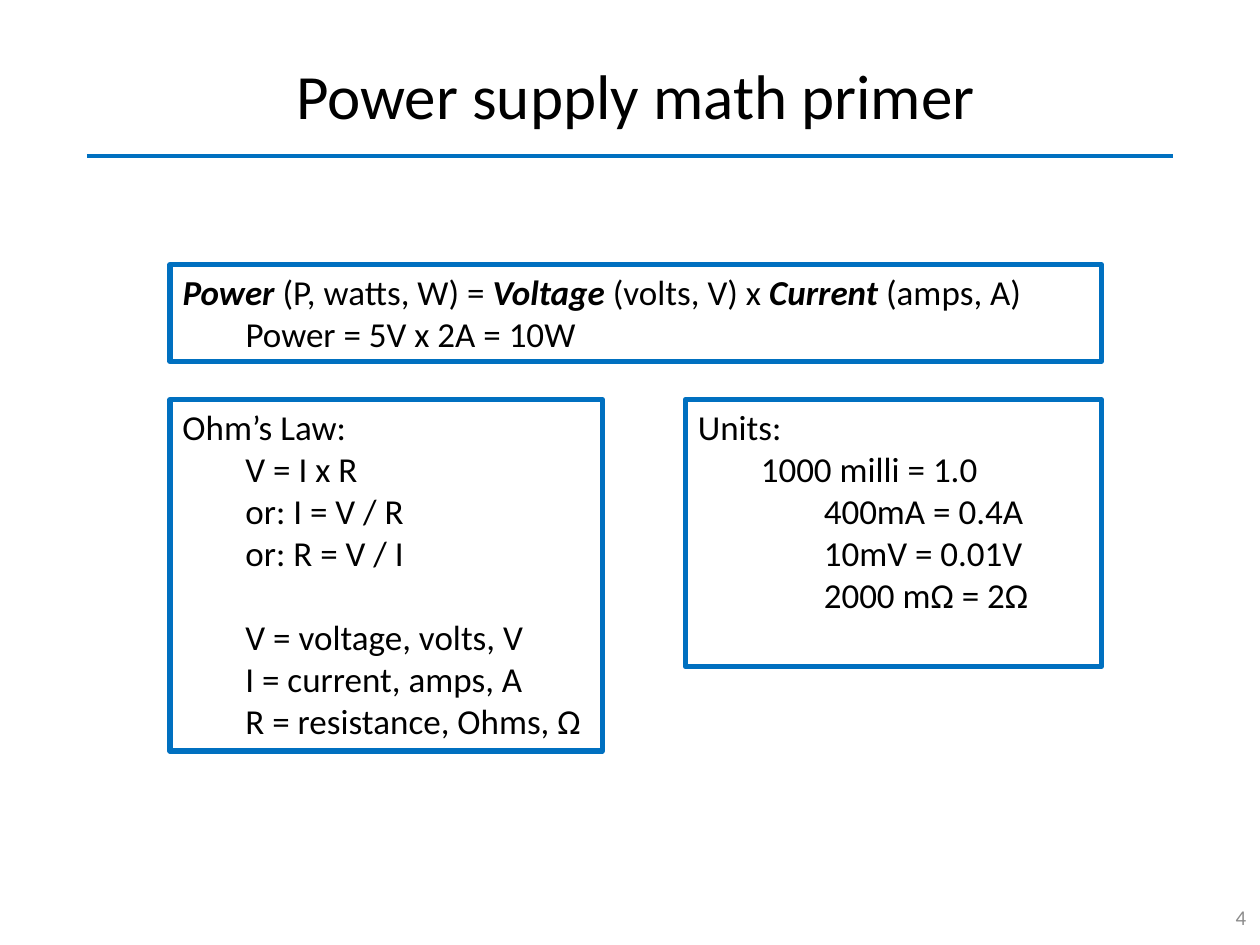
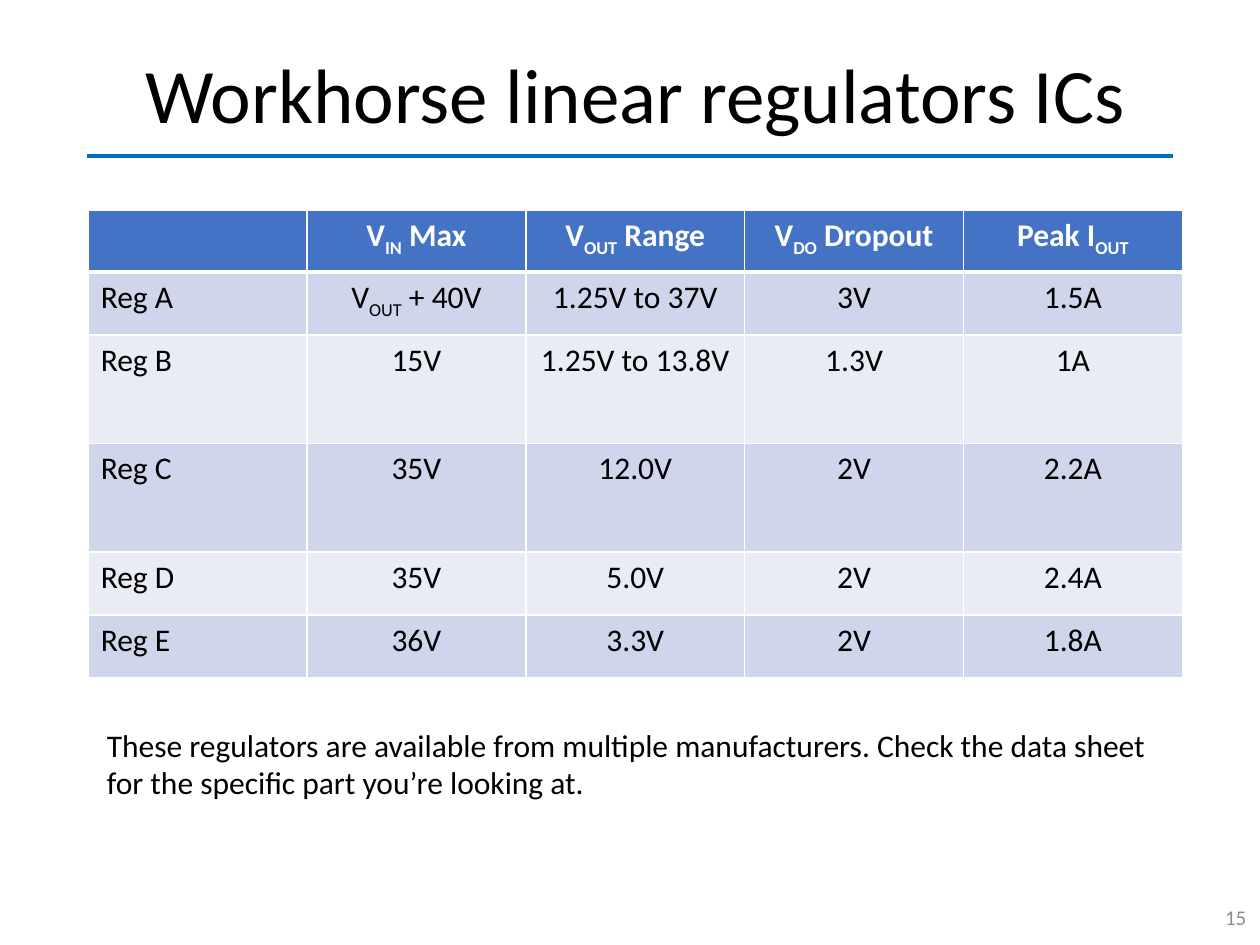
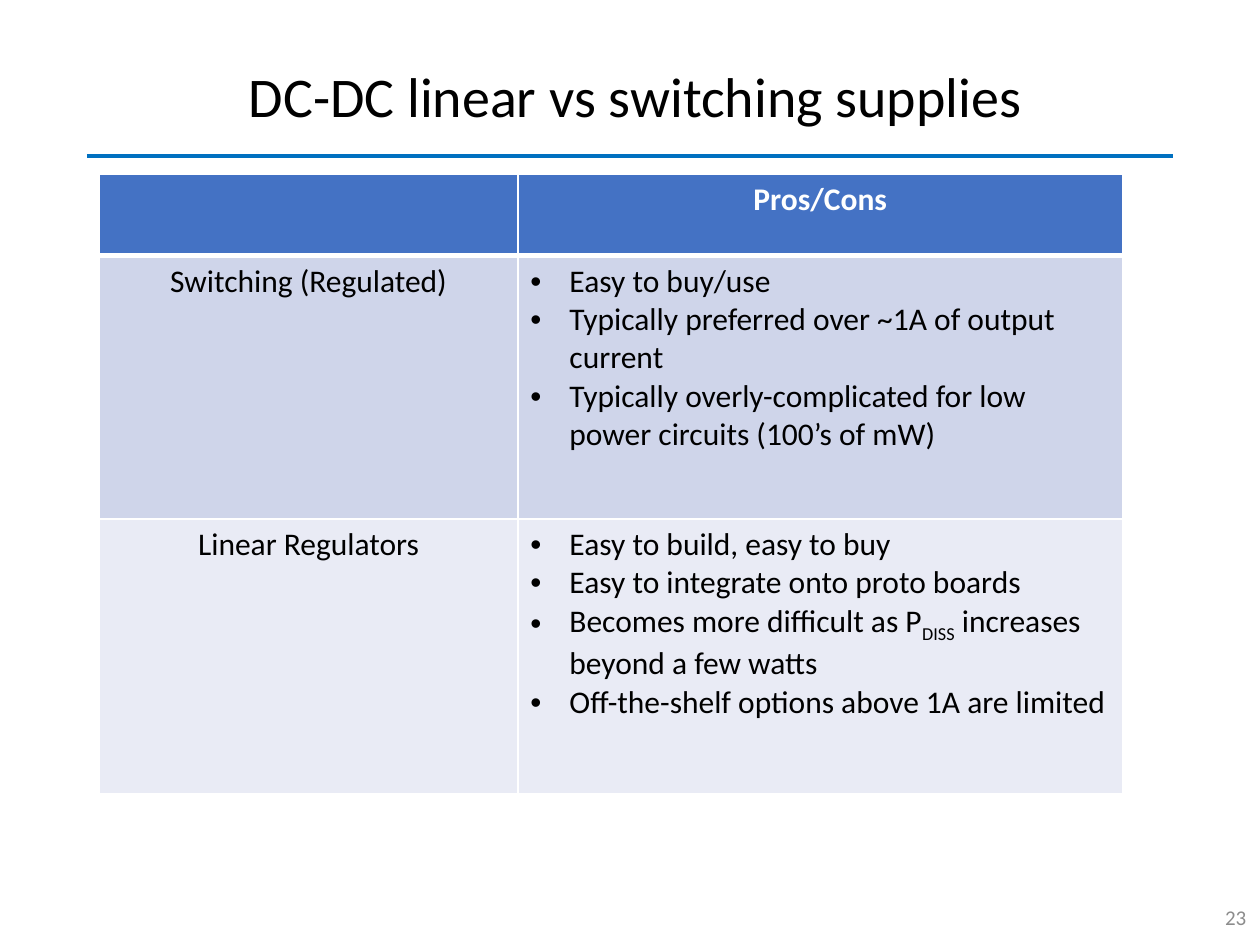
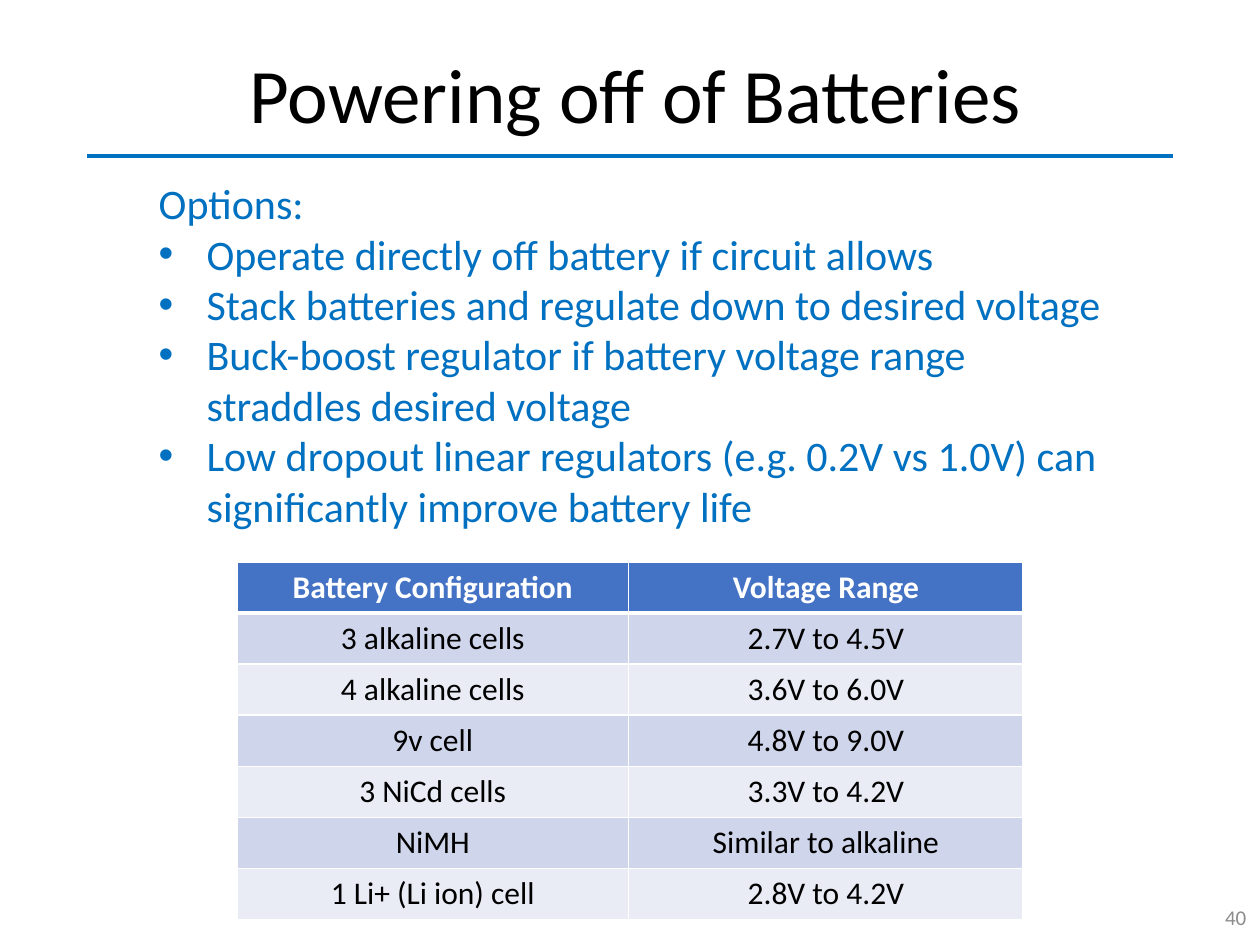
"""Builds four slides on power supply basics."""
from dataclasses import dataclass
from typing import NamedTuple, Optional

from lxml.etree import SubElement
from pptx import Presentation
from pptx.dml.color import RGBColor
from pptx.enum.shapes import MSO_CONNECTOR
from pptx.enum.text import MSO_ANCHOR as Anchor, MSO_AUTO_SIZE as AutoSize, PP_ALIGN as Align
from pptx.oxml.ns import qn
from pptx.util import Inches, Pt

FONT = "Calibri"
BLACK = RGBColor(0x00, 0x00, 0x00)
WHITE = RGBColor(0xFF, 0xFF, 0xFF)
GREY = RGBColor(0x8C, 0x8C, 0x8C)
ACCENT = RGBColor(0x00, 0x70, 0xC0)
HEADER = RGBColor(0x44, 0x72, 0xC4)
BANDS = (RGBColor(0xE9, 0xEB, 0xF5), RGBColor(0xCF, 0xD5, 0xEA))

SLIDE_WIDTH, SLIDE_HEIGHT = Inches(10), Inches(7.5)
GRID_COLUMNS, GRID_ROWS = 100, 75
TITLE_AND_LIST, TITLE_ONLY = 1, 5


class Area(NamedTuple):
    left: float
    top: float
    width: float
    height: float


class Style(NamedTuple):
    size: float
    color: RGBColor = BLACK
    align: Align = Align.LEFT
    bold: bool = False


@dataclass(frozen=True)
class Line:
    text: str
    indent: float = 0
    hanging: float = 0
    gap: float = 0


@dataclass(frozen=True)
class Grid:
    area: Area
    widths: list[float]
    heights: list[float]
    rows: list[list[list[Line]]]
    left_columns: tuple[int, ...] = ()


TITLE_AREA = Area(5.1, 2.4, 90.7, 10.9)
NUMBER_AREA = Area(77.4, 70.8, 22.5, 4)
RULE_LEFT, RULE_RIGHT, RULE_TOP = 6.9, 93.1, 12.4
FORMULA_LEFT, FORMULA_RIGHT, FORMULA_TOP = 13.5, 87.4, 31.7
UNITS_LEFT = 54.4
BOX_STYLE = Style(20)
NOTE_STYLE = Style(18)
LIST_STYLE = Style(24, ACCENT)
HEADER_STYLE = Style(18, WHITE, Align.CENTER, True)


def column(count: float) -> int:
    return round(SLIDE_WIDTH * count / GRID_COLUMNS)


def row(count: float) -> int:
    return round(SLIDE_HEIGHT * count / GRID_ROWS)


def place(area: Area) -> tuple[int, int, int, int]:
    return column(area.left), row(area.top), column(area.width), row(area.height)


def plain(*texts: str) -> list[list[Line]]:
    return [[Line(text)] for text in texts]


def bullets(hanging: float, *texts: str) -> list[Line]:
    return [Line(text, hanging, hanging) for text in texts]


def write_spans(para, text: str) -> None:
    """Text between underscores is subscript, between asterisks bold italic."""
    for index, part in enumerate(text.split("*")):
        for level, piece in enumerate(part.split("_")):
            if not piece:
                continue
            span = para.add_run()
            span.text = piece
            if index % 2:
                span.font.bold = span.font.italic = True
            if level % 2:
                span.font._element.set("baseline", "-25000")


def write(frame, lines: list[Line], style: Style) -> None:
    for index, line in enumerate(lines):
        para = frame.add_paragraph() if index else frame.paragraphs[0]
        write_spans(para, line.text)
        para.alignment = style.align
        para.space_before = Pt(line.gap)
        properties = para._p.get_or_add_pPr()
        properties.set("marL", str(Inches(line.indent)))
        properties.set("indent", str(-Inches(line.hanging)))
        if line.hanging:
            SubElement(properties, qn("a:buFont"), typeface="Arial")
            SubElement(properties, qn("a:buChar"), char="•")
        else:
            SubElement(properties, qn("a:buNone"))
        font = para.font
        font.name, font.size, font.bold = FONT, Pt(style.size), style.bold
        font.color.rgb = style.color


def fill_box(box, area: Area, lines: list[Line], style: Style, anchor: Anchor = Anchor.TOP) -> None:
    box.left, box.top, box.width, box.height = place(area)
    frame = box.text_frame
    frame.word_wrap = True
    frame.auto_size = AutoSize.NONE
    frame.vertical_anchor = anchor
    write(frame, lines, style)


def add_text(page, area: Area, lines: list[Line], style: Style,
             anchor: Anchor = Anchor.TOP, outline: Optional[RGBColor] = None) -> None:
    box = page.shapes.add_textbox(*place(area))
    fill_box(box, area, lines, style, anchor)
    if outline is not None:
        box.line.color.rgb = outline
        box.line.width = Pt(3)


def set_border(cell, side: str, width: float) -> None:
    border = SubElement(cell._tc.get_or_add_tcPr(), qn(f"a:ln{side}"), w=str(Pt(width)))
    fill = SubElement(border, qn("a:solidFill"))
    SubElement(fill, qn("a:srgbClr"), val=str(WHITE))


def add_grid(page, grid: Grid) -> None:
    shape = page.shapes.add_table(len(grid.rows), len(grid.widths), *place(grid.area))
    table = shape.table
    for index, width in enumerate(grid.widths):
        table.columns[index].width = column(width)
    for index, height in enumerate(grid.heights):
        table.rows[index].height = row(height)
    for row_index, cells in enumerate(grid.rows):
        for column_index, lines in enumerate(cells):
            cell = table.cell(row_index, column_index)
            for side in "LRTB":
                heavy = (row_index, side) in ((0, "B"), (1, "T"))
                set_border(cell, side, 3 if heavy else 1)
            cell.fill.solid()
            cell.fill.fore_color.rgb = BANDS[row_index % 2] if row_index else HEADER
            align = Align.LEFT if column_index in grid.left_columns else Align.CENTER
            write(cell.text_frame, lines, Style(18, align=align) if row_index else HEADER_STYLE)


def add_page(deck, title: str, size: float, number: int, layout: int = TITLE_ONLY):
    page = deck.slides.add_slide(deck.slide_layouts[layout])
    fill_box(page.shapes.title, TITLE_AREA, [Line(title)],
             Style(size, align=Align.CENTER), Anchor.MIDDLE)
    page.shapes.title.text_frame.paragraphs[0].line_spacing = 0.9
    add_text(page, NUMBER_AREA, [Line(str(number))], Style(12, GREY, Align.RIGHT), Anchor.MIDDLE)
    return page


def add_master_rule(deck, page) -> None:
    rule = page.shapes.add_connector(MSO_CONNECTOR.STRAIGHT, column(RULE_LEFT), row(RULE_TOP),
                                     column(RULE_RIGHT), row(RULE_TOP))
    rule.line.color.rgb = ACCENT
    rule.line.width = Pt(2.25)
    SubElement(rule._element.spPr, qn("a:effectLst"))
    deck.slide_master.shapes._spTree.append(rule._element)


def build_primer(deck) -> None:
    page = add_page(deck, "Power supply math primer", 36, 4)
    add_master_rule(deck, page)
    ohms_law = [
        Line("Ohm’s Law:"),
        Line("V = I x R", 0.5),
        Line("or: I = V / R", 0.5),
        Line("or: R = V / I", 0.5),
        Line("V = voltage, volts, V", 0.5, gap=24),
        Line("I = current, amps, A", 0.5),
        Line("R = resistance, Ohms, Ω", 0.5),
    ]
    units = [
        Line("Units:"),
        Line("1000 milli = 1.0", 0.5),
        Line("400mA = 0.4A", 1),
        Line("10mV = 0.01V", 1),
        Line("2000 mΩ = 2Ω", 1),
    ]
    power = [
        Line("*Power* (P, watts, W) = *Voltage* (volts, V) x *Current* (amps, A)"),
        Line("Power = 5V x 2A = 10W", 0.5),
    ]
    boxes = (
        (Area(FORMULA_LEFT, FORMULA_TOP, 34.3, 27.9), ohms_law),
        (Area(UNITS_LEFT, FORMULA_TOP, FORMULA_RIGHT - UNITS_LEFT, 21.2), units),
        (Area(FORMULA_LEFT, 21, FORMULA_RIGHT - FORMULA_LEFT, 7.7), power),
    )
    for area, lines in boxes:
        add_text(page, area, lines, BOX_STYLE, outline=ACCENT)


def build_regulators(deck) -> None:
    page = add_page(deck, "Workhorse linear regulators ICs", 44, 15)
    add_grid(page, Grid(Area(7, 16.7, 86.9, 37), [17.37] * 5, [4.9, 5, 8.6, 8.6, 5, 5], [
        plain("", "V_IN_ Max", "V_OUT_ Range", "V_DO_ Dropout", "Peak I_OUT_"),
        plain("Reg A", "V_OUT_ + 40V", "1.25V to 37V", "3V", "1.5A"),
        plain("Reg B", "15V", "1.25V to 13.8V", "1.3V", "1A"),
        plain("Reg C", "35V", "12.0V", "2V", "2.2A"),
        plain("Reg D", "35V", "5.0V", "2V", "2.4A"),
        plain("Reg E", "36V", "3.3V", "2V", "1.8A"),
    ], left_columns=(0,)))
    add_text(page, Area(7.5, 57.1, 85.3, 7.1), [Line(
        "These regulators are available from multiple manufacturers. "
        "Check the data sheet for the specific part you’re looking at.")], NOTE_STYLE)


def build_comparison(deck) -> None:
    page = add_page(deck, "DC-DC linear vs switching supplies", 32, 23)
    switching = bullets(
        0.31,
        "Easy to buy/use",
        "Typically preferred over ~1A of output current",
        "Typically overly-complicated for low power circuits (100’s of mW)",
    )
    linear = bullets(
        0.31,
        "Easy to build, easy to buy",
        "Easy to integrate onto proto boards",
        "Becomes more difficult as P_DISS_ increases beyond a few watts",
        "Off-the-shelf options above 1A are limited",
    )
    add_grid(page, Grid(Area(7.9, 13.8, 81.2, 49.2), [33.2, 48], [6.5, 20.9, 21.8], [
        plain("", "Pros/Cons"),
        [[Line("Switching (Regulated)")], switching],
        [[Line("Linear Regulators")], linear],
    ], left_columns=(1,)))


def build_batteries(deck) -> None:
    page = add_page(deck, "Powering off of Batteries", 44, 40, TITLE_AND_LIST)
    options = [Line("Options:")] + bullets(
        0.38,
        "Operate directly off battery if circuit allows",
        "Stack batteries and regulate down to desired voltage",
        "Buck-boost regulator if battery voltage range straddles desired voltage",
        "Low dropout linear regulators (e.g. 0.2V vs 1.0V) can significantly improve battery life",
    )
    fill_box(page.placeholders[1], Area(11.6, 13.6, 79, 29.3), options, LIST_STYLE)
    add_grid(page, Grid(Area(18.8, 44.6, 62.4, 28), [31.1, 31.3], [4] * 7, [
        plain("Battery Configuration", "Voltage Range"),
        plain("3 alkaline cells", "2.7V to 4.5V"),
        plain("4 alkaline cells", "3.6V to 6.0V"),
        plain("9v cell", "4.8V to 9.0V"),
        plain("3 NiCd cells", "3.3V to 4.2V"),
        plain("NiMH", "Similar to alkaline"),
        plain("1 Li+ (Li ion) cell", "2.8V to 4.2V"),
    ]))


def main() -> None:
    deck = Presentation()
    deck.slide_width, deck.slide_height = SLIDE_WIDTH, SLIDE_HEIGHT
    for build in (build_primer, build_regulators, build_comparison, build_batteries):
        build(deck)
    deck.save("out.pptx")


if __name__ == "__main__":
    main()
